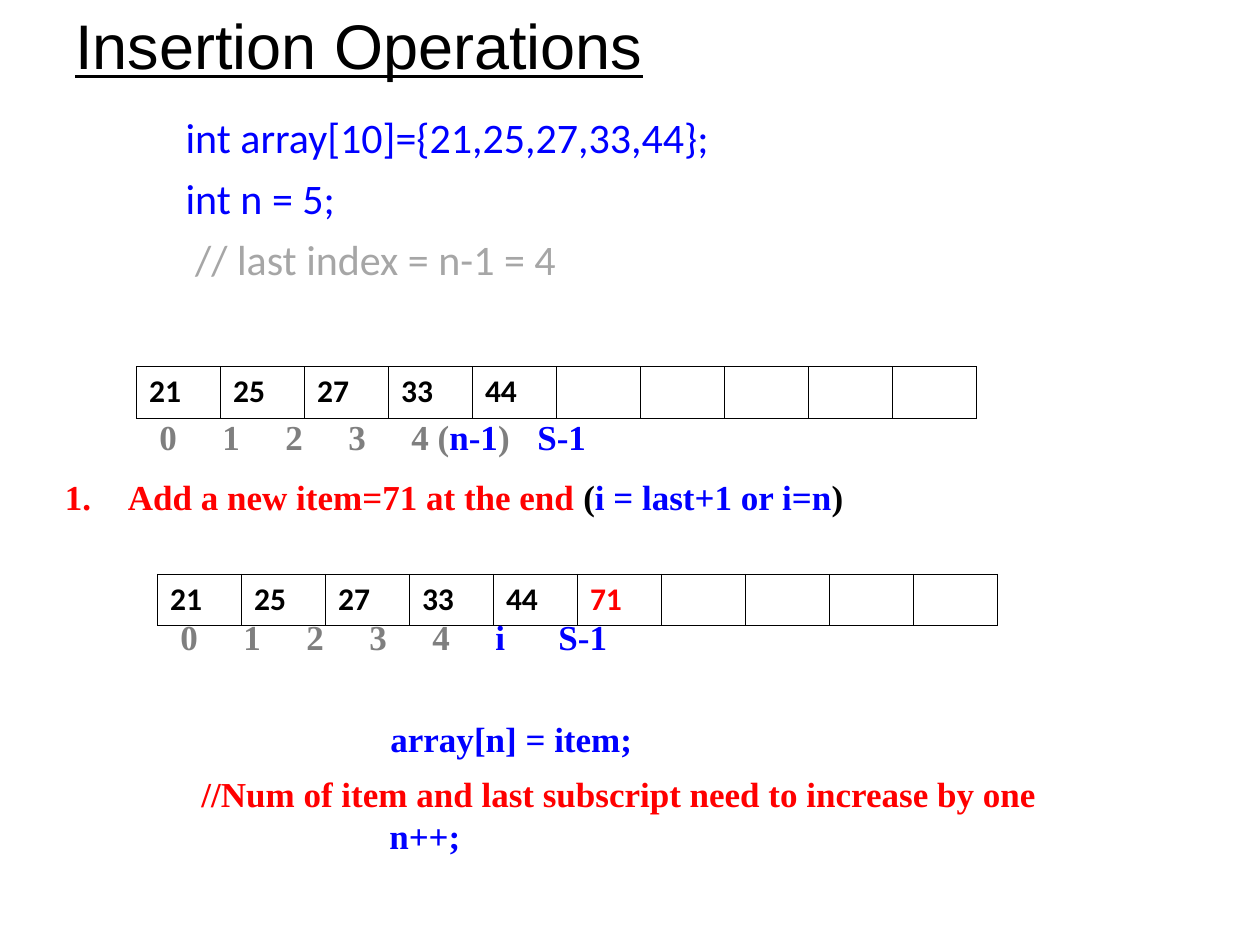
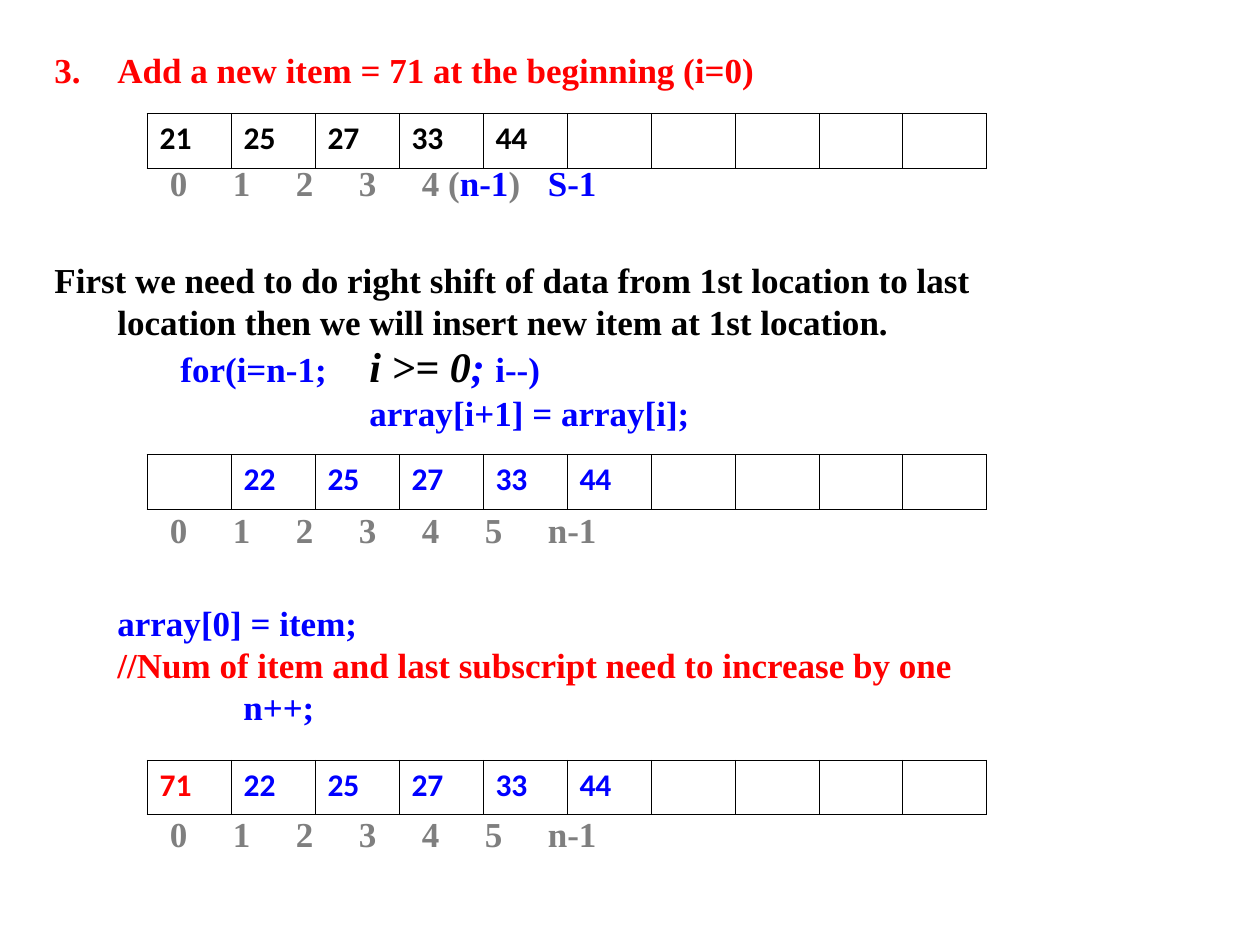
from lxml.etree import SubElement
from pptx import Presentation
from pptx.dml.color import RGBColor
from pptx.enum.text import MSO_ANCHOR
from pptx.oxml.ns import qn
from pptx.util import Inches, Pt

# Shared style
BLACK, WHITE, RED, BLUE = "000000", "FFFFFF", "FF0000", "0000FF"
GRAY, LIGHT_GRAY = "7F7F7F", "A6A6A6"
SERIF, SANS, TITLE_FONT = "Times New Roman", "Calibri", "Arial"
CELLS, CELL_COLS = 10, 8
INDEX_STOPS = (9.1, 16.6, 24.1, 32.4, 41.2, 71)
BY_ONE = "//Num of item and last subscript need to increase by one"


def color(value):
    return RGBColor.from_string(value)


def grid(n):
    """Length of n grid units: the slide has 120 columns and 90 rows."""
    return Inches(n / 12)


class Deck:
    def __init__(self):
        self.prs = Presentation()
        self.prs.slide_width, self.prs.slide_height = grid(120), grid(90)
        self.s = None

    def slide(self):
        self.s = self.prs.slides.add_slide(self.prs.slide_layouts[6])

    def run(self, p, text, ink, size=20, font=SERIF, bold=True, italic=False, underline=False):
        r = p.add_run()
        r.text = text
        f = r.font
        f.size, f.name, f.bold, f.italic, f.underline = Pt(size), font, bold, italic, underline
        f.color.rgb = color(ink)

    def box(self, col, row, cols, rows):
        sp = self.s.shapes.add_textbox(grid(col), grid(row), grid(cols), grid(rows))
        sp.text_frame.word_wrap = True
        return sp.text_frame

    def layout(self, p, indent=0, hang=0, number=None, tabs=()):
        """Set indents, red numbering and tab stops of a paragraph."""
        pPr = p._p.get_or_add_pPr()
        pPr.set("marL", str(grid(indent)))
        pPr.set("indent", str(-grid(hang)))
        if number:
            clr = SubElement(pPr, qn("a:buClr"))
            SubElement(clr, qn("a:srgbClr"), val=RED)
            SubElement(pPr, qn("a:buAutoNum"), type="arabicPeriod", startAt=str(number))
        if tabs:
            stops = SubElement(pPr, qn("a:tabLst"))
            for stop in tabs:
                SubElement(stops, qn("a:tab"), pos=str(grid(stop)), algn="l")

    def title(self, text):
        tf = self.box(6, -1, 108, 10.5)
        tf.vertical_anchor = MSO_ANCHOR.MIDDLE
        self.run(tf.paragraphs[0], text, BLACK, 36, TITLE_FONT, bold=False, underline=True)

    def declarations(self, lines):
        tf = self.box(6, 10, 108, 64.5)
        for i, (text, ink) in enumerate(lines):
            p = tf.paragraphs[0] if i == 0 else tf.add_paragraph()
            p.space_before = Pt(6)
            self.layout(p, indent=10.5)
            self.run(p, text, ink, 24, SANS, bold=False)

    def text(self, col, row, cols, rows, paragraphs):
        """Each paragraph is (runs, options); each run is (text, ink, ...)."""
        tf = self.box(col, row, cols, rows)
        for i, (runs, options) in enumerate(paragraphs):
            p = tf.paragraphs[0] if i == 0 else tf.add_paragraph()
            options = dict(options)
            p.line_spacing = Pt(options.pop("line", 24))
            p.space_before = Pt(options.pop("before", 0))
            self.layout(p, **options)
            for r in runs:
                self.run(p, *r)

    def array(self, col, row, values, index_row, indices, rows=4.9):
        """Draw the ten cells of an array and the indices below them."""
        frame = self.s.shapes.add_table(1, CELLS, grid(col), grid(row),
                                        grid(CELLS * CELL_COLS), grid(rows))
        table = frame.table
        table.first_row = table.horz_banding = False
        table.rows[0].height = grid(rows)
        for i, cell in enumerate(table.rows[0].cells):
            table.columns[i].width = grid(CELL_COLS)
            self.border(cell)
            cell.fill.solid()
            cell.fill.fore_color.rgb = color(WHITE)
            if i < len(values) and values[i]:
                value, ink = values[i]
                self.run(cell.text_frame.paragraphs[0], str(value), ink, 18, SANS)
        self.text(col + 1, index_row, 79, 5.25, [(indices, {"tabs": INDEX_STOPS})])

    def border(self, cell):
        tcPr = cell._tc.get_or_add_tcPr()
        for side in ("lnL", "lnR", "lnT", "lnB"):
            ln = SubElement(tcPr, qn("a:" + side), w=str(Pt(0.45)))
            fill = SubElement(ln, qn("a:solidFill"))
            SubElement(fill, qn("a:srgbClr"), val=BLACK)


def inked(values, ink):
    return [(value, ink) for value in values]


def main():
    start = inked([21, 25, 27, 33, 44], BLACK)
    shifted = inked([22, 25, 27, 33, 44], BLUE)
    start_indices = [("0\t1\t2\t3\t4 (", GRAY), ("n-1", BLUE), (")\t", GRAY), ("S-1", BLUE)]
    shifted_indices = [("0\t1\t2\t3\t4\t5\tn-1", GRAY)]
    deck = Deck()

    # Slide 1: insertion at the end
    deck.slide()
    deck.title("Insertion Operations")
    deck.declarations([("int array[10]={21,25,27,33,44};", BLUE),
                       ("int n = 5;", BLUE),
                       (" // last index = n-1 = 4", LIGHT_GRAY)])
    deck.array(13, 34.9, start, 39, start_indices)
    deck.text(5, 44.65, 99, 9.25, [
        ([("Add a new item=71 at the end", RED), (" (", BLACK),
          ("i = last+1 or i=n", BLUE), (")", BLACK)],
         {"indent": 6, "hang": 6, "number": 1})])
    deck.array(15, 54.7, start + [(71, RED)], 58,
               [("0\t1\t2\t3\t4\t", GRAY), ("i\tS-1", BLUE)])
    deck.text(12, 67.7, 95, 5.25, [([("array[n] = item;", BLUE)], {"indent": 24})])
    deck.text(18, 73, 85, 9.25, [
        ([(BY_ONE, RED)], {}),
        ([("n++;", BLUE)], {"indent": 17.9})])

    # Slide 2: insertion at the beginning
    deck.slide()
    deck.text(4, 4, 99, 33.25, [
        ([("Add a new item = 71 at the beginning (i=0)", RED)],
         {"indent": 6, "hang": 6, "number": 3}),
        ([("First we need to do right shift of data from 1st location to last "
           "location then we will insert new item at 1st location.", BLACK)],
         {"indent": 6, "hang": 6, "before": 96})])
    deck.array(14, 10.8, start, 14.8, start_indices, rows=5.2)
    deck.array(14, 43.3, [None] + shifted, 47.8, shifted_indices, rows=5.2)
    deck.array(14, 72.4, [(71, RED)] + shifted, 76.8, shifted_indices, rows=5.2)

    # Shift loop, then the insertion itself
    deck.text(10, 32, 95, 46, [
        ([("\tfor(i=n-1;\t", BLUE), ("i >= 0", BLACK, 24, SERIF, True, True),
          (";\t", BLUE, 24, SERIF, True, True), ("i--)", BLUE)],
         {"line": 28, "tabs": (12, 28, 40.8)}),
        ([("array[i+1] = array[i];", BLUE)], {"indent": 24}),
        ([("array[0] = item;", BLUE)], {"before": 96}),
        ([(BY_ONE, RED)], {}),
        ([("n++;", BLUE)], {"indent": 12})])

    deck.prs.save("out.pptx")


if __name__ == "__main__":
    main()
